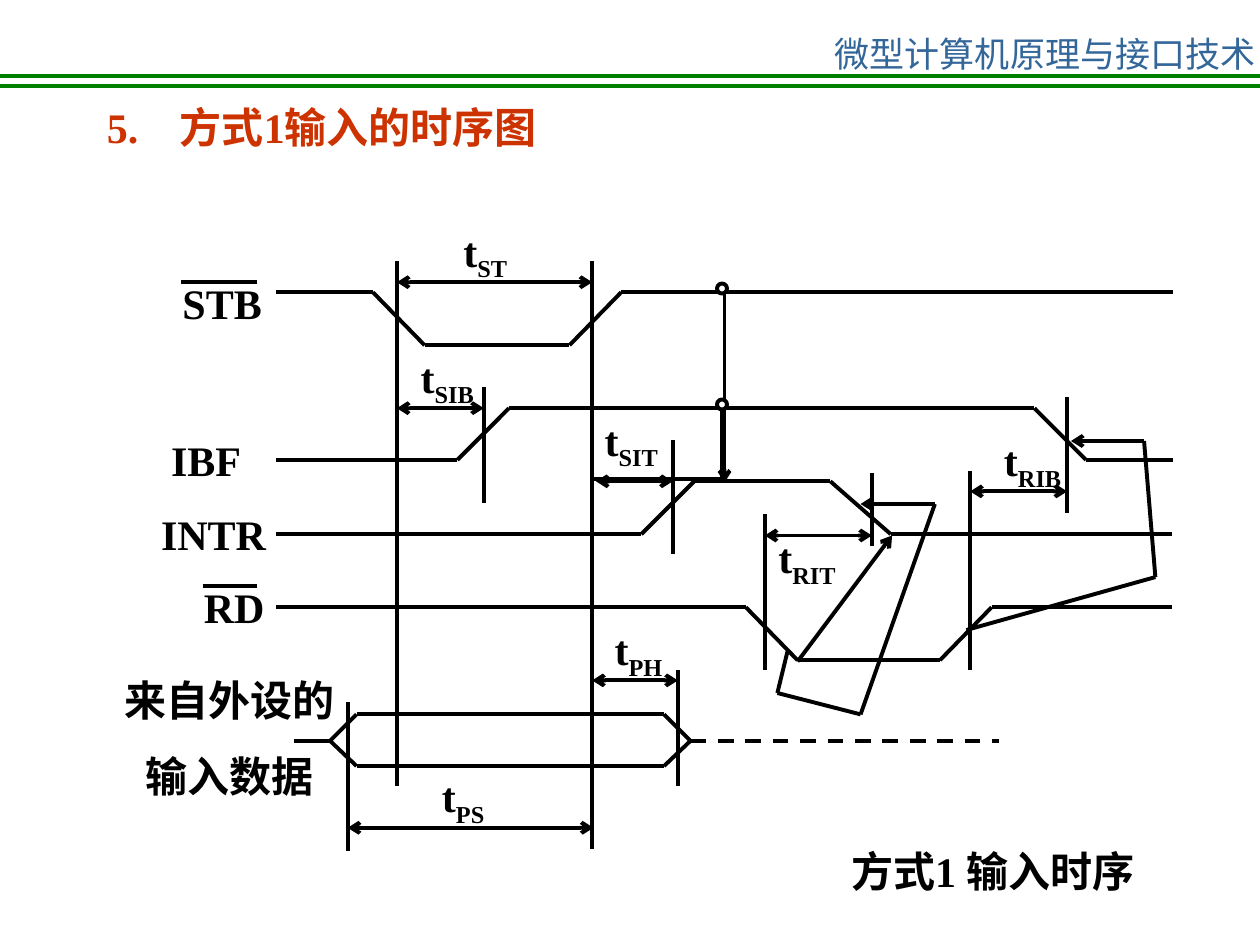
from dataclasses import dataclass
from itertools import pairwise

from lxml import etree
from pptx import Presentation
from pptx.dml.color import RGBColor
from pptx.enum.dml import MSO_LINE
from pptx.enum.shapes import MSO_CONNECTOR, MSO_SHAPE
from pptx.enum.text import PP_ALIGN
from pptx.oxml.ns import qn
from pptx.util import Inches, Pt

BLACK = RGBColor(0x00, 0x00, 0x00)
WHITE = RGBColor(0xFF, 0xFF, 0xFF)
GREEN = RGBColor(0x00, 0x80, 0x00)
BLUE = RGBColor(0x33, 0x66, 0x99)
RED = RGBColor(0xCC, 0x33, 0x00)
LATIN, CJK = "Times New Roman", "Noto Sans CJK SC"
STRAIGHT, RECT, OVAL = MSO_CONNECTOR.STRAIGHT, MSO_SHAPE.RECTANGLE, MSO_SHAPE.OVAL
DASH, LEFT, CENTER = MSO_LINE.DASH, PP_ALIGN.LEFT, PP_ALIGN.CENTER

# The slide is a grid of 100 columns by 75 rows
COLUMNS, ROWS = 100, 75
prs = Presentation()
prs.slide_width, prs.slide_height = Inches(10), Inches(7.5)
CELL = prs.slide_width // COLUMNS
slide = prs.slides.add_slide(prs.slide_layouts[6])
Point = tuple[float, float]


@dataclass(frozen=True)
class Trace:
    """A run of joined lines, with optional arrowheads at its two ends."""
    points: tuple[Point, ...]
    head: bool = False
    tail: bool = False
    dashed: bool = False


@dataclass(frozen=True)
class Interval:
    """A measured time: a double arrow and its label's corner."""
    subscript: str
    start: float
    end: float
    row: float
    label: Point


@dataclass(frozen=True)
class Signal:
    name: str
    left: float
    top: float
    width: float
    bar: tuple[float, float, float] | None = None  # start, end, row


def grid(*cells: float) -> list[int]:
    return [round(c * CELL) for c in cells]


def add_line(start: Point, end: Point, color: RGBColor = BLACK, weight: float = 2.25,
             head: bool = False, tail: bool = False, dashed: bool = False) -> None:
    line = slide.shapes.add_connector(STRAIGHT, *grid(*start, *end))
    line.line.color.rgb = color
    line.line.width = Pt(weight)
    if dashed:
        line.line.dash_style = DASH
    ln = line.line._get_or_add_ln()
    for tag, shown in (("a:headEnd", head), ("a:tailEnd", tail)):
        if shown:
            etree.SubElement(ln, qn(tag), type="arrow")
    etree.SubElement(line._element.spPr, qn("a:effectLst"))


def add_trace(trace: Trace) -> None:
    segments = list(pairwise(trace.points))
    for i, (start, end) in enumerate(segments):
        add_line(start, end, head=trace.head and i == 0,
                 tail=trace.tail and i == len(segments) - 1, dashed=trace.dashed)


def add_text(text: str, left: float, top: float, width: float, height: float = 5, *,
             subscript: str = "", size: float = 24, color: RGBColor = BLACK,
             bold: bool = True, latin: str = LATIN, align: PP_ALIGN = LEFT,
             wrap: bool = True, hanging: float = 0, side_inset: float = 1) -> None:
    frame = slide.shapes.add_textbox(*grid(left, top, width, height)).text_frame
    frame.word_wrap = wrap
    frame.margin_left = frame.margin_right = grid(side_inset)[0]
    for i, words in enumerate(text.split("\n")):
        paragraph = frame.add_paragraph() if i else frame.paragraphs[0]
        paragraph.alignment = align
        paragraph.space_before = Pt(15)
        if hanging:
            indent = grid(hanging)[0]
            properties = paragraph._p.get_or_add_pPr()
            properties.set("marL", str(indent))
            properties.set("indent", str(-indent))
        for part, baseline in ((words, None), (subscript, "-25000")):
            if not part:
                continue
            run = paragraph.add_run()
            run.text = part
            run.font.size, run.font.bold, run.font.name = Pt(size), bold, latin
            run.font.color.rgb = color
            properties = run._r.get_or_add_rPr()
            etree.SubElement(properties, qn("a:ea"), typeface=CJK)
            if baseline:
                properties.set("baseline", baseline)


def add_outline(kind: MSO_SHAPE, left: float, top: float, width: float, height: float,
                fill: RGBColor | None = None) -> None:
    shape = slide.shapes.add_shape(kind, *grid(left, top, width, height))
    shape.shadow.inherit = False
    if fill is None:
        shape.fill.background()
    else:
        shape.fill.solid()
        shape.fill.fore_color.rgb = fill
    shape.line.color.rgb = BLACK
    shape.line.width = Pt(2.25)


TRACES = (
    # Strobe, buffer full, interrupt request and read
    Trace(((21.9, 23.2), (29.6, 23.2), (33.7, 27.4), (45.2, 27.4), (49.3, 23.2), (93.1, 23.2))),
    Trace(((21.9, 36.5), (36.3, 36.5), (40.4, 32.4), (82.1, 32.4), (86.2, 36.5), (93.1, 36.5))),
    Trace(((21.9, 42.4), (50.9, 42.4), (55.1, 38.2), (65.9, 38.2), (70.7, 42.4), (93, 42.4))),
    Trace(((21.9, 48.2), (59.2, 48.2), (63.3, 52.4), (74.6, 52.4), (78.7, 48.2), (93, 48.2))),
    # Data bus: lead-in, upper and lower edges, floating tail
    Trace(((23.3, 58.8), (26.2, 58.8))),
    *(Trace(((26.2, 58.8), (28.3, edge), (52.7, edge), (54.8, 58.8))) for edge in (56.7, 60.8)),
    Trace(((54.8, 58.8), (79.3, 58.8)), dashed=True),
    # Cause and effect arrows
    Trace(((63.3, 52.5), (70.8, 42.5)), tail=True),
    Trace(((62.5, 51.7), (61.7, 55), (68.3, 56.7), (74.2, 40), (68.3, 40)), tail=True),
    Trace(((76.7, 50), (91.7, 45.8), (90.8, 35), (85, 35)), tail=True),
    Trace(((57.5, 23.3), (57.5, 38.3)), tail=True),
)

# Vertical time marks: column, first row, last row
MARKS = (
    (31.5, 20.7, 62.4), (47, 20.7, 67.4), (27.6, 55.7, 67.5), (60.7, 40.8, 53.2),
    (77, 37.4, 53.2), (69.2, 37.5, 43.3), (84.7, 31.5, 40.7), (38.4, 30.7, 39.9),
    (53.4, 34.9, 44), (53.8, 53.2, 62.4),
)

INTERVALS = (
    Interval("ST", 31.5, 47, 22.4, (35.8, 17.4)),
    Interval("SIB", 31.5, 38.4, 32.4, (32.4, 27.4)),
    Interval("SIT", 47.3, 53.4, 38.2, (47, 32.4)),
    Interval("RIT", 60.7, 69.2, 42.5, (60.8, 41.7)),
    Interval("RIB", 77, 84.7, 39, (78.7, 34)),
    Interval("PH", 47, 53.8, 54, (47.8, 49)),
    Interval("PS", 27.6, 47.1, 65.7, (34.1, 60.7)),
)

SIGNALS = (
    Signal("STB", 13.5, 21.5, 14.6, (14.4, 20.4, 22.4)),
    Signal("IBF", 12.6, 34, 11.2),
    Signal("INTR", 11.8, 39.9, 18),
    Signal("RD", 15.2, 45.7, 14.6, (16.1, 20.4, 46.5)),
)

# Header
for rule_row, thin_start in ((6.8, 5.9), (6, 5.7)):
    add_line((thin_start, rule_row), (COLUMNS, rule_row), GREEN, 0.75)
    add_line((0, rule_row), (COLUMNS, rule_row), GREEN)
add_text("微型计算机原理与接口技术", 66, 2.1, 33.9, 2.4, size=20, color=BLUE,
         bold=False, latin=CJK, align=CENTER, wrap=False, side_inset=0)

# Title and caption
add_text("5.\t方式1输入的时序图", 7.5, 7.6, 41.7, color=RED, hanging=5.8)
add_text("方式1 输入时序", 64.2, 66.6, 29.2, align=CENTER)

# Waveforms and time marks
for trace in TRACES:
    add_trace(trace)
for column, first_row, last_row in MARKS:
    add_line((column, first_row), (column, last_row))

# Measured times; tSIT is boxed
add_outline(RECT, 47, 32.4, 10.3, 5.6)
for time in INTERVALS:
    add_line((time.start, time.row), (time.end, time.row), head=True, tail=True)
    add_text("t", *time.label, 10.3, 5.6, subscript=time.subscript)

# Signal names, with a bar over the active-low ones
for signal in SIGNALS:
    add_text(signal.name, signal.left, signal.top, signal.width)
    if signal.bar:
        bar_start, bar_end, bar_row = signal.bar
        add_line((bar_start, bar_row), (bar_end, bar_row))
add_text("来自外设的\n输入数据", 7.5, 53, 21.4, 11.1, align=CENTER)

# Joint conditions for the interrupt request
for condition_row in (22.5, 31.7):
    add_outline(OVAL, 56.9, condition_row, 0.8, 0.8, WHITE)

prs.save("out.pptx")
